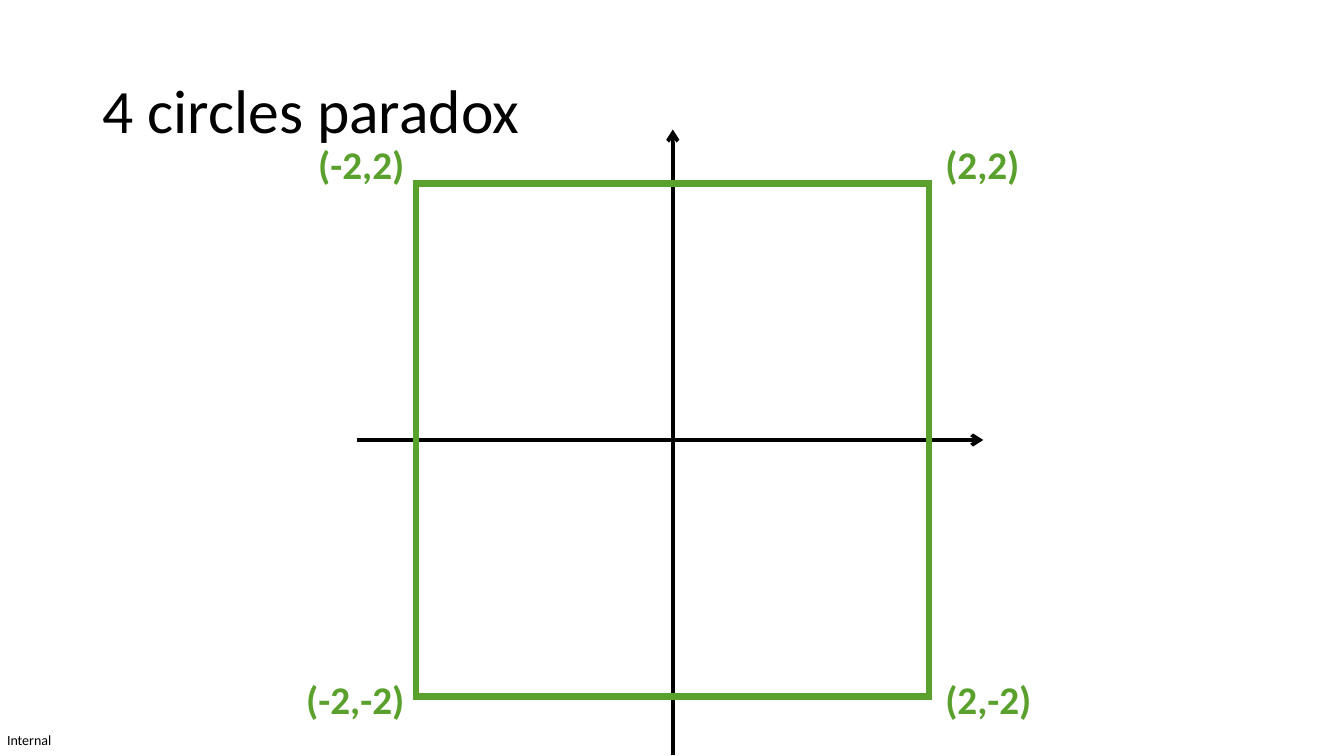
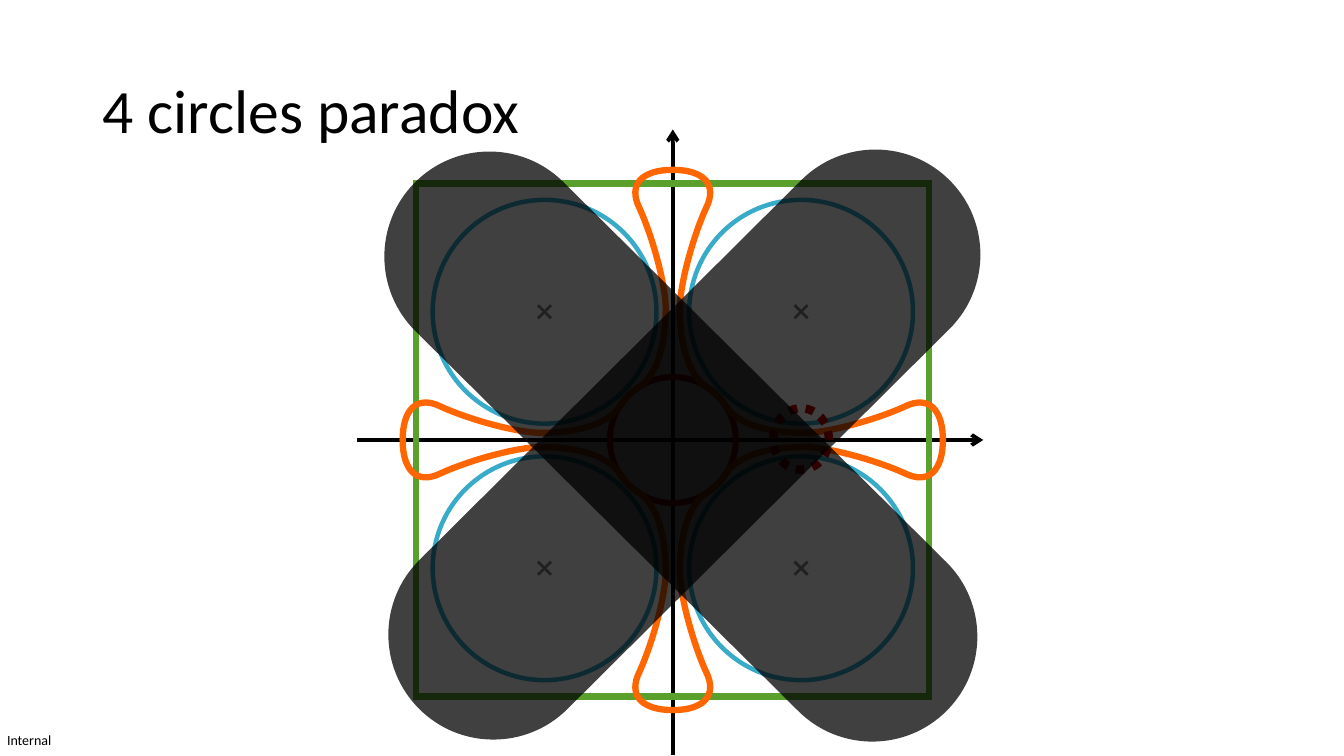
from itertools import product

from lxml.etree import SubElement as Sub
from pptx import Presentation
from pptx.dml.color import RGBColor as Rgb
from pptx.enum.dml import MSO_LINE as Dash
from pptx.enum.shapes import MSO_CONNECTOR as Conn, MSO_SHAPE as Shape
from pptx.enum.text import MSO_ANCHOR as Anchor, PP_ALIGN as Align
from pptx.oxml.ns import qn
from pptx.util import Inches, Pt

FONT = "Calibri"
COLORS = {
    "ink": "000000",
    "square": "5AA02C",
    "circle": "37ABC8",
    "inner": "D40000",
    "petal": "FF6600",
    "focus": "C00000",
    "mark": "808080",
}
SIDES = list(product((-1, 1), (-1, 1)))
HALF = [
    (-0.34, 0.52), (-0.12, 0.67), (-0.07, 1.03), (-0.07, 1.32), (-0.08, 1.6),
    (-0.22, 2.06), (-0.33, 2.3), (-0.45, 2.54), (-0.3, 2.68), (0, 2.68),
]
BRIDGE = [(0.41, 0.48), (0.48, 0.41)]
CROSS = [[(0.065, -0.065), (-0.065, 0.065)], [(-0.065, -0.065), (0.065, 0.065)]]
BARS = [[(2.01, -1.84), (-1.78, 1.93)], [(-1.82, -1.82), (1.98, 1.95)]]


def write(slide, text, x, y, w, h, size, color="ink", bold=False,
          align=Align.LEFT, anchor=Anchor.TOP, inset=(0.1, 0.05), space=None):
    box = slide.shapes.add_textbox(*map(Inches, (x, y, w, h)))
    frame = box.text_frame
    frame.word_wrap = True
    frame.vertical_anchor = anchor
    frame.margin_left = frame.margin_right = Inches(inset[0])
    frame.margin_top = frame.margin_bottom = Inches(inset[1])
    para = frame.paragraphs[0]
    para.alignment = align
    para.line_spacing = space
    run = para.add_run()
    run.text = text
    run.font.name = FONT
    run.font.size = Pt(size)
    run.font.bold = bold
    run.font.color.rgb = Rgb.from_string(COLORS[color])


def stroke(shape, color, width):
    shape.line.color.rgb = Rgb.from_string(COLORS[color])
    shape.line.width = Pt(width)
    return shape.element.spPr.find(qn("a:ln"))


def outline(shape, color, width):
    shape.shadow.inherit = False
    shape.fill.background()
    return stroke(shape, color, width)


def ring(slide, kind, cx, cy, w, h, color, width):
    shape = slide.shapes.add_shape(
        kind, *map(Inches, (cx - w / 2, cy - h / 2, w, h)))
    line = outline(shape, color, width)
    if kind == Shape.RECTANGLE:
        Sub(line, qn("a:miter"), lim="800000")
    return shape


def trace(slide, cx, cy, strands, close=False):
    first, *rest = [[(Inches(cx + x), Inches(cy + y)) for x, y in strand]
                    for strand in strands]
    path = slide.shapes.build_freeform(*first[0])
    path.add_line_segments(first[1:], close=close)
    for strand in rest:
        path.move_to(*strand[0])
        path.add_line_segments(strand[1:], close=close)
    return path.convert_to_shape()


def axes(slide, cx, cy):
    back, ahead = 3.13, 3.08
    for start, end in (((cx, cy + back), (cx, cy - ahead)),
                       ((cx - back, cy), (cx + ahead, cy))):
        wire = slide.shapes.add_connector(
            Conn.STRAIGHT, *map(Inches, (*start, *end)))
        Sub(stroke(wire, "ink", 2.7), qn("a:tailEnd"), type="arrow")
        Sub(wire.element.spPr, qn("a:effectLst"))


def bend(shape):
    steps = list(shape.element.iter(qn("a:lnTo")))
    for i in range(0, len(steps), 3):
        curve = steps[i].makeelement(qn("a:cubicBezTo"))
        steps[i].addprevious(curve)
        for step in steps[i:i + 3]:
            curve.append(step[0])
            step.getparent().remove(step)


def petals(slide, cx, cy):
    turn = HALF + [(-x, y) for x, y in HALF[-2::-1]] + BRIDGE
    knots = []
    for _ in range(4):
        knots += turn
        turn = [(y, -x) for x, y in turn]
    shape = trace(slide, cx, cy, [knots + knots[:1]], close=True)
    bend(shape)
    outline(shape, "petal", 4.5)


def bars(slide, cx, cy):
    line = outline(trace(slide, cx, cy, BARS), "ink", 150)
    line.set("cap", "rnd")
    Sub(line.find(".//" + qn("a:srgbClr")), qn("a:alpha"), val="75000")
    Sub(line, qn("a:round"))


def labels(slide, x, y, size):
    wide = 1.2
    for side, rise in SIDES:
        left = x - wide - 0.02 if side < 0 else x + size + 0.06
        top = y - 0.48 if rise > 0 else y + size - 0.26
        write(slide, f"({2 * side},{2 * rise})", left, top, wide, 0.57, 28,
              color="square", bold=True,
              align=Align.RIGHT if side < 0 else Align.LEFT)


def plot(slide, x, y, size, full):
    cx, cy, unit = x + size / 2, y + size / 2, size / 4
    spots = [(cx + side * unit, cy + rise * unit) for side, rise in SIDES]
    axes(slide, cx, cy)
    if full:
        for spot in spots:
            outline(trace(slide, *spot, CROSS), "mark", 1.93)
    ring(slide, Shape.RECTANGLE, cx, cy, size, size, "square", 4.5)
    if not full:
        labels(slide, x, y, size)
        return
    for spot in spots:
        ring(slide, Shape.OVAL, *spot, 2.22, 2.22, "circle", 3.23)
    ring(slide, Shape.OVAL, cx, cy, 1.25, 1.25, "inner", 4.25)
    petals(slide, cx, cy)
    focus = ring(slide, Shape.OVAL, cx + unit, cy - 0.01, 0.55, 0.61, "focus", 6)
    focus.line.dash_style = Dash.ROUND_DOT
    bars(slide, cx, cy)


def page(deck, full):
    slide = deck.slides.add_slide(deck.slide_layouts[6])
    write(slide, "Internal", 0.07, 7.26, 0.47, 0.17, 10, inset=(0, 0))
    write(slide, "4 circles paradox", 0.92, 0.4, 11.5, 1.45, 44,
          anchor=Anchor.MIDDLE, space=0.9)
    plot(slide, 4.13, 1.82, 5.09, full)


def main():
    deck = Presentation()
    deck.slide_width, deck.slide_height = Inches(40 / 3), Inches(7.5)
    for full in (False, True):
        page(deck, full)
    deck.save("out.pptx")


if __name__ == "__main__":
    main()
